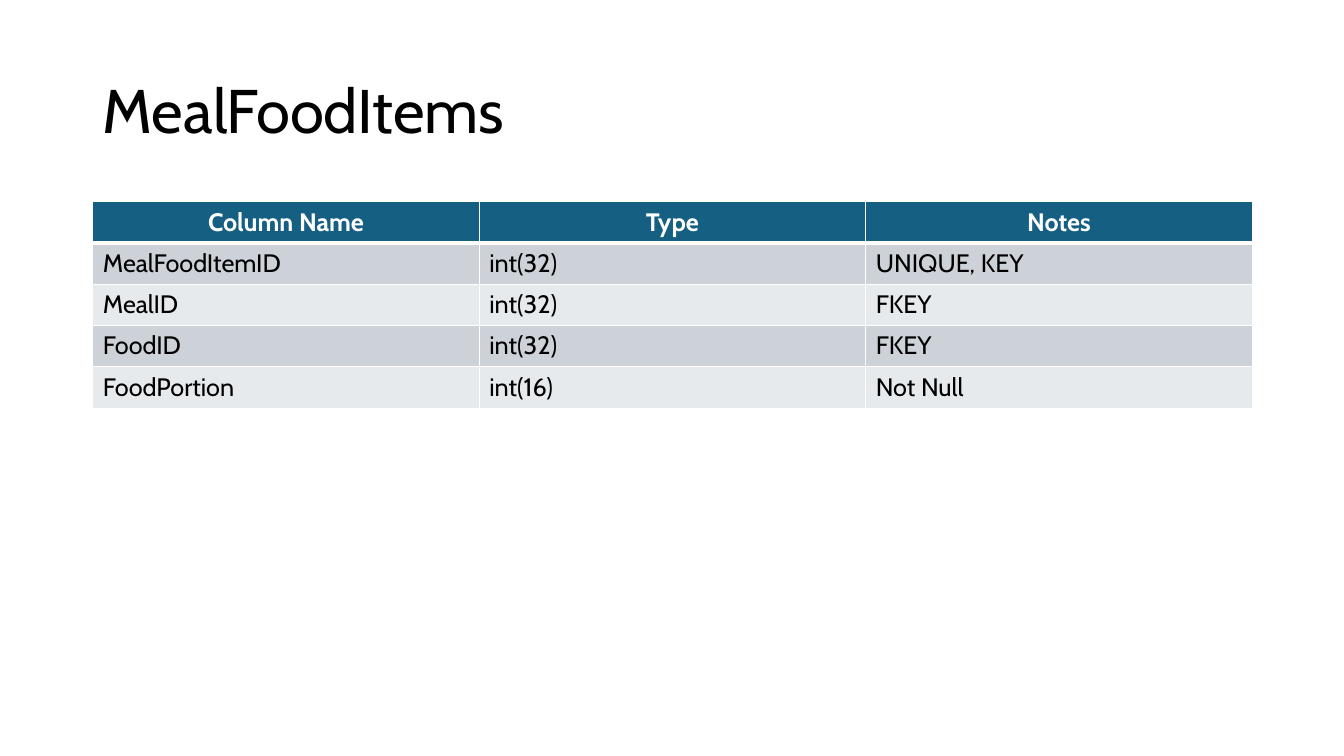
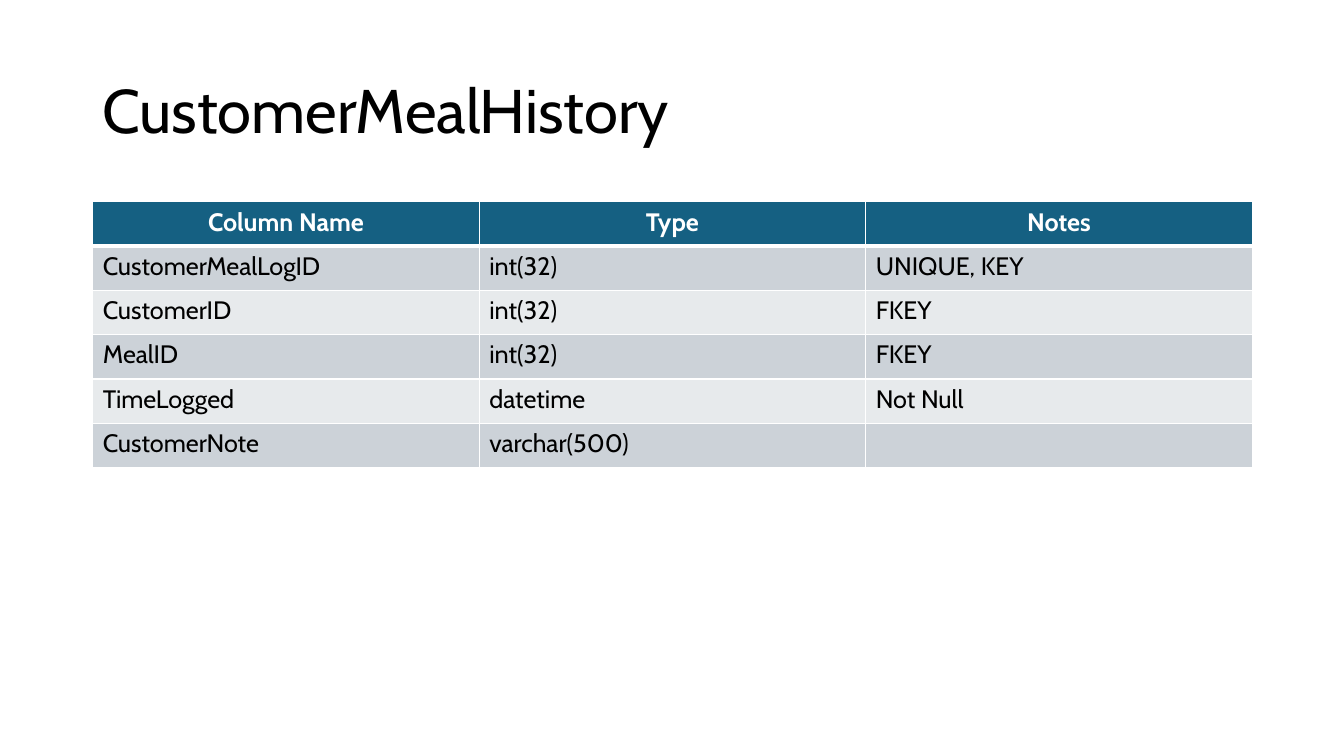
"""Build two slides that describe database tables column by column."""
from dataclasses import dataclass

from lxml import etree
from pptx import Presentation
from pptx import util as u
from pptx.dml.color import RGBColor
from pptx.enum import text
from pptx.oxml import ns

FONT = "Cabin"
BLACK = RGBColor(0x00, 0x00, 0x00)
WHITE = RGBColor(0xFF, 0xFF, 0xFF)
HEADER_BLUE = RGBColor(0x15, 0x60, 0x82)
BANDS = (RGBColor(0xCC, 0xD2, 0xD8), RGBColor(0xE7, 0xEA, 0xEC))
LEFT, WIDTH = u.Inches(0.92), u.Inches(11.5)
THIN, THICK = u.Pt(0.96), u.Pt(3)
HEADER = ("Column Name", "Type", "Notes")


@dataclass(frozen=True)
class Schema:
    name: str
    row_height: float
    columns: tuple[tuple[str, str, str], ...]


SCHEMAS = (
    Schema("MealFoodItems", 0.41, (
        ("MealFoodItemID", "int(32)", "UNIQUE, KEY"),
        ("MealID", "int(32)", "FKEY"),
        ("FoodID", "int(32)", "FKEY"),
        ("FoodPortion", "int(16)", "Not Null"),
    )),
    Schema("CustomerMealHistory", 0.44, (
        ("CustomerMealLogID", "int(32)", "UNIQUE, KEY"),
        ("CustomerID", "int(32)", "FKEY"),
        ("MealID", "int(32)", "FKEY"),
        ("TimeLogged", "datetime", "Not Null"),
        ("CustomerNote", "varchar(500)", ""),
    )),
)


def style_text(para, size: float, color: RGBColor, bold: bool = False) -> None:
    for span in para.runs:
        span.font.name = FONT
        span.font.size = u.Pt(size)
        span.font.bold = bold
        span.font.color.rgb = color


def add_title(page, title: str) -> None:
    box = page.shapes.add_textbox(LEFT, u.Inches(0.4), WIDTH, u.Inches(1.45))
    frame = box.text_frame
    frame.word_wrap = True
    frame.vertical_anchor = text.MSO_ANCHOR.MIDDLE
    frame.text = title
    para = frame.paragraphs[0]
    para.line_spacing = 0.9
    style_text(para, 44, BLACK)


def set_borders(cell, top: int, bottom: int) -> None:
    properties = cell._tc.get_or_add_tcPr()
    for side, width in (("L", THIN), ("R", THIN), ("T", top), ("B", bottom)):
        line = etree.SubElement(properties, ns.qn(f"a:ln{side}"), w=str(width))
        fill = etree.SubElement(line, ns.qn("a:solidFill"))
        etree.SubElement(fill, ns.qn("a:srgbClr"), val=str(WHITE))


def fill_cell(cell, value: str, row: int) -> None:
    is_header = row == 0
    set_borders(cell, THICK if row == 1 else THIN, THICK if is_header else THIN)
    cell.fill.solid()
    cell.fill.fore_color.rgb = HEADER_BLUE if is_header else BANDS[(row - 1) % 2]
    para = cell.text_frame.paragraphs[0]
    para.text = value
    para.alignment = text.PP_ALIGN.CENTER if is_header else text.PP_ALIGN.LEFT
    style_text(para, 18, WHITE if is_header else BLACK, is_header)


def add_schema_table(page, schema: Schema) -> None:
    rows = (HEADER, *schema.columns)
    height = u.Inches(schema.row_height)
    table = page.shapes.add_table(
        len(rows), len(HEADER), LEFT, u.Inches(2), WIDTH, height * len(rows)
    ).table
    for row, values in enumerate(rows):
        table.rows[row].height = height
        for column, value in enumerate(values):
            fill_cell(table.cell(row, column), value, row)


def main() -> None:
    deck = Presentation()
    deck.slide_width, deck.slide_height = u.Inches(13.33), u.Inches(7.5)
    for schema in SCHEMAS:
        page = deck.slides.add_slide(deck.slide_layouts[6])
        add_title(page, schema.name)
        add_schema_table(page, schema)
    deck.save("out.pptx")


if __name__ == "__main__":
    main()
